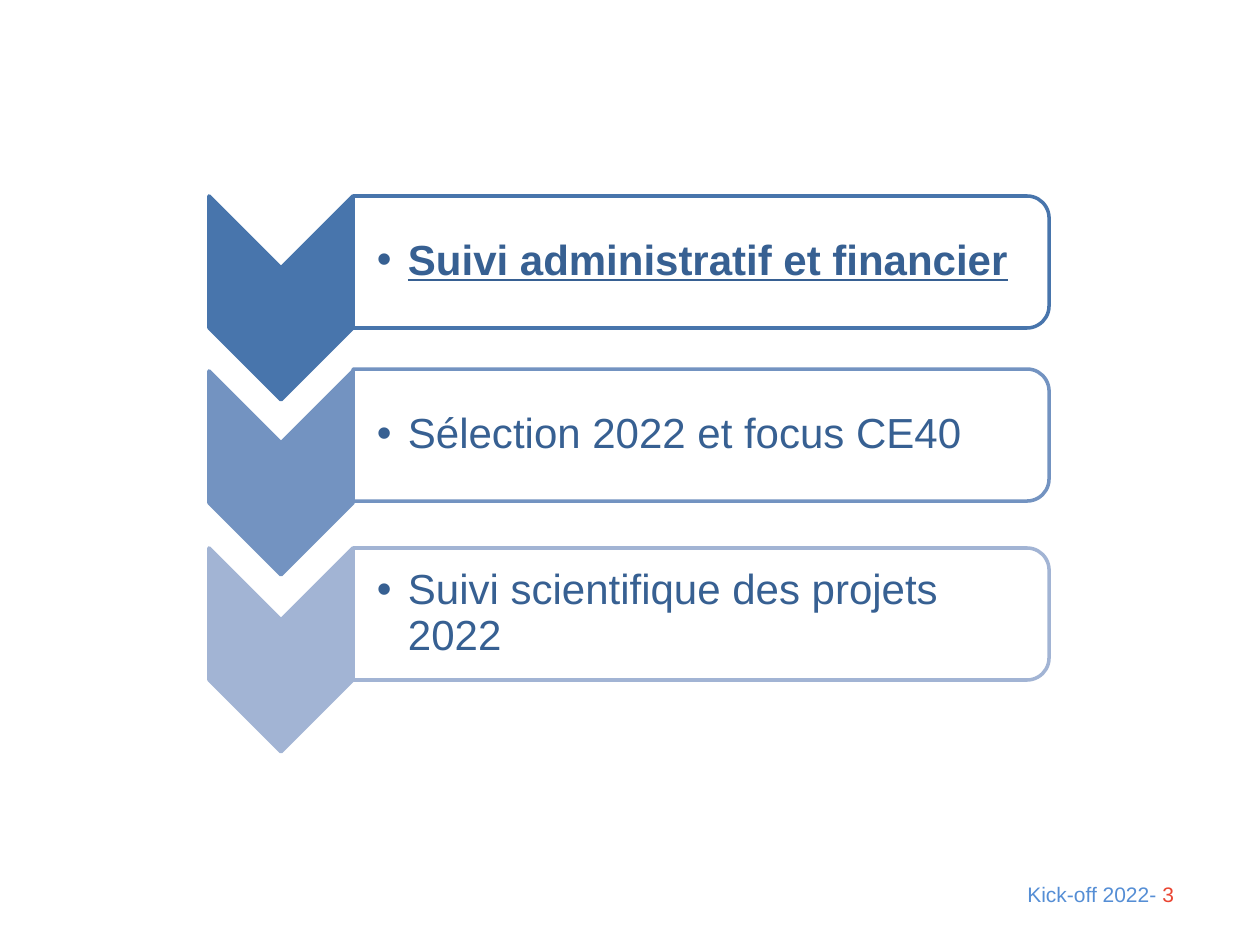
from dataclasses import dataclass

from lxml.etree import SubElement
from pptx import Presentation
from pptx.dml.color import RGBColor
from pptx.enum.shapes import MSO_SHAPE
from pptx.enum.text import MSO_ANCHOR, PP_ALIGN
from pptx.oxml.ns import qn
from pptx.shapes.autoshape import Shape
from pptx.slide import Slide
from pptx.util import Emu, Pt

EMU_PER_PX = 914400 / 126


@dataclass(frozen=True)
class Theme:
    font: str = "Arial"
    panel: str = "FFFFFF"
    panel_opacity: int = 90
    topic: str = "376092"
    footer: str = "558ED5"
    page_number: str = "EA4532"
    topic_size: int = 24
    footer_size: int = 12
    outline: int = 2


@dataclass(frozen=True)
class Step:
    topic: str
    color: str
    chevron_center: int
    panel_center: int
    current: bool = False


THEME = Theme()
STEPS = (
    Step("Suivi administratif et financier", "4875AC", 298, 262, current=True),
    Step("Sélection 2022 et focus CE40", "7393C1", 473, 435),
    Step("Suivi scientifique des projets 2022", "A2B4D4", 650, 614),
)


def px(length: int) -> Emu:
    return Emu(round(length * EMU_PER_PX))


def add_turned_shape(slide: Slide, preset: MSO_SHAPE, center_x: int, center_y: int,
                     width: int, height: int, fill: str, outline: str) -> Shape:
    shape = slide.shapes.add_shape(preset, px(center_x - width // 2),
                                   px(center_y - height // 2), px(width), px(height))
    shape.rotation = 90
    shape.shadow.inherit = False
    shape.fill.solid()
    shape.fill.fore_color.rgb = RGBColor.from_string(fill)
    shape.line.color.rgb = RGBColor.from_string(outline)
    shape.line.width = Pt(THEME.outline)
    return shape


def add_text(slide: Slide, runs: list[tuple[str, str]], left: int, top: int,
             width: int, height: int, *, size: int,
             insets: tuple[int, int, int, int] = (13, 6, 13, 6),
             anchor: MSO_ANCHOR = MSO_ANCHOR.TOP, align: PP_ALIGN = PP_ALIGN.LEFT,
             line_spacing: float = 1.0, bullet_indent: int = 0,
             emphasis: bool = False) -> None:
    frame = slide.shapes.add_textbox(px(left), px(top), px(width), px(height)).text_frame
    frame.word_wrap = True
    frame.vertical_anchor = anchor
    frame.margin_left, frame.margin_top, frame.margin_right, frame.margin_bottom = map(px, insets)
    paragraph = frame.paragraphs[0]
    paragraph.alignment = align
    paragraph.line_spacing = line_spacing
    if bullet_indent:
        properties = paragraph._p.get_or_add_pPr()
        properties.set("marL", str(px(bullet_indent)))
        properties.set("indent", str(-px(bullet_indent)))
        SubElement(properties, qn("a:buFont"), typeface=THEME.font)
        SubElement(properties, qn("a:buChar"), char="•")
    for words, color in runs:
        run = paragraph.add_run()
        run.text = words
        run.font.name = THEME.font
        run.font.size = Pt(size)
        run.font.color.rgb = RGBColor.from_string(color)
        if emphasis:
            run.font.bold = True
            run.font.underline = True


def add_step(slide: Slide, step: Step) -> None:
    add_turned_shape(slide, MSO_SHAPE.CHEVRON, 281, step.chevron_center, 204, 144,
                     step.color, step.color)
    panel = add_turned_shape(slide, MSO_SHAPE.ROUND_2_SAME_RECTANGLE, 701,
                             step.panel_center, 132, 696, THEME.panel, step.color)
    panel_color = panel._element.spPr.find(qn("a:solidFill"))[0]
    SubElement(panel_color, qn("a:alpha"), val=str(THEME.panel_opacity * 1000))
    add_text(slide, [(step.topic, THEME.topic)], 353, step.panel_center - 60, 690, 120,
             size=THEME.topic_size, insets=(24, 3, 3, 3), anchor=MSO_ANCHOR.MIDDLE,
             line_spacing=0.9, bullet_indent=31, emphasis=step.current)


def main() -> None:
    deck = Presentation()
    deck.slide_width, deck.slide_height = px(1260), px(945)
    slide = deck.slides.add_slide(deck.slide_layouts[6])
    add_text(slide, [("Kick-off 2022- ", THEME.footer), ("3", THEME.page_number)],
             798, 876, 389, 50, size=THEME.footer_size, align=PP_ALIGN.RIGHT)
    for step in STEPS:
        add_step(slide, step)
    deck.save("out.pptx")


if __name__ == "__main__":
    main()
